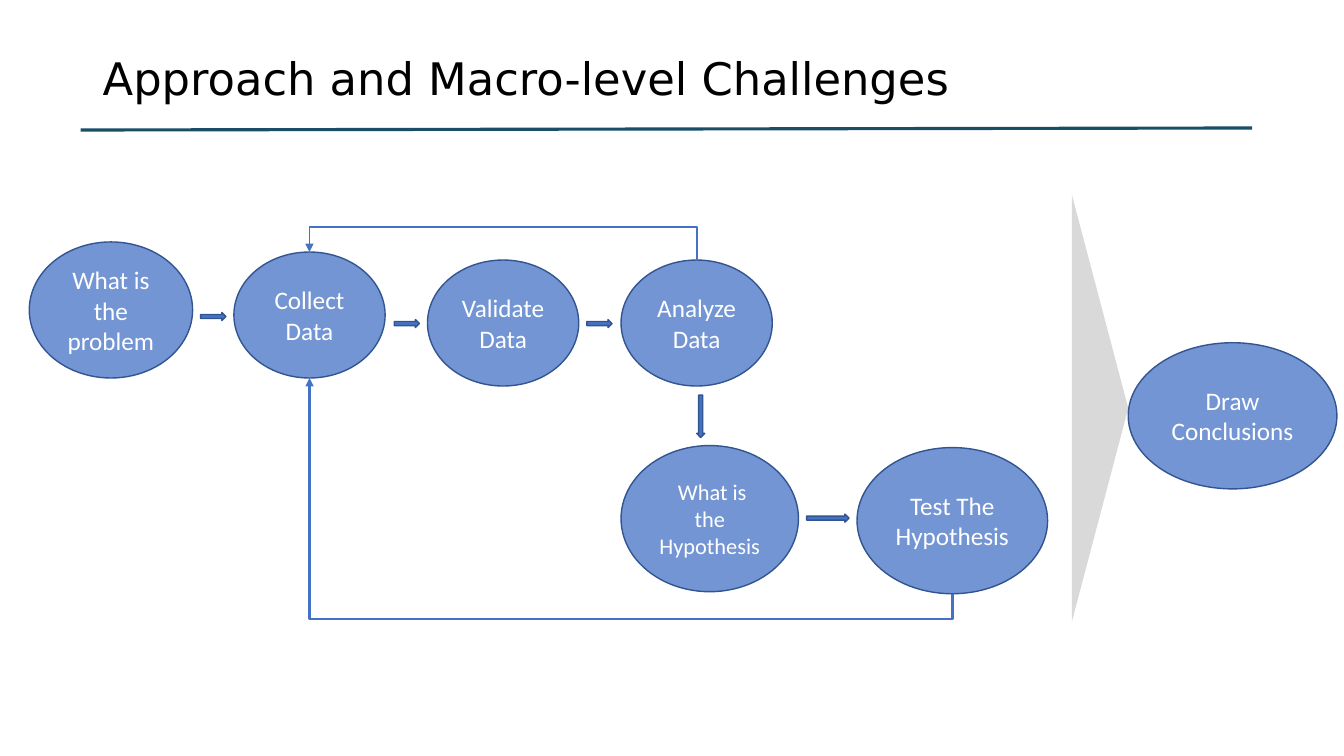
from dataclasses import dataclass

from lxml import etree
from pptx import Presentation
from pptx.dml.color import RGBColor
from pptx.enum.shapes import MSO_CONNECTOR, MSO_SHAPE
from pptx.enum.text import MSO_ANCHOR, PP_ALIGN
from pptx.oxml.ns import qn
from pptx.util import Inches, Pt

STRAIGHT, ELBOW = MSO_CONNECTOR.STRAIGHT, MSO_CONNECTOR.ELBOW
OVAL, TRIANGLE = MSO_SHAPE.OVAL, MSO_SHAPE.ISOSCELES_TRIANGLE
RIGHT, DOWN = MSO_SHAPE.RIGHT_ARROW, MSO_SHAPE.DOWN_ARROW
MIDDLE, CENTER = MSO_ANCHOR.MIDDLE, PP_ALIGN.CENTER

STEP_FILL, ARROW_FILL, OUTLINE = "7395D3", "4472C4", "325491"


@dataclass
class Step:
    label: str
    left: float
    top: float
    width: float = 1.5
    height: float = 1.25
    size: int = 18

    @property
    def middle(self) -> float:
        return self.left + self.width / 2

    @property
    def bottom(self) -> float:
        return self.top + self.height


@dataclass
class Arrow:
    kind: MSO_SHAPE
    left: float
    top: float
    length: float


def rgb(value: str) -> RGBColor:
    return RGBColor.from_string(value)


def add_filled(slide, kind, left, top, width, height, fill, outline=None):
    shape = slide.shapes.add_shape(
        kind, Inches(left), Inches(top), Inches(width), Inches(height))
    shape.shadow.inherit = False
    shape.fill.solid()
    shape.fill.fore_color.rgb = rgb(fill)
    if outline:
        shape.line.color.rgb = rgb(outline)
        shape.line.width = Pt(1)
    else:
        shape.line.fill.background()
    return shape


def set_text(shape, text: str, font: str, size: int, color: str):
    frame = shape.text_frame
    frame.text = text
    frame.word_wrap = True
    frame.vertical_anchor = MIDDLE
    paragraph = frame.paragraphs[0]
    run_font = paragraph.runs[0].font
    run_font.name = font
    run_font.size = Pt(size)
    run_font.color.rgb = rgb(color)
    return paragraph


def add_step(slide, step: Step) -> None:
    oval = add_filled(slide, OVAL, step.left, step.top, step.width,
                      step.height, STEP_FILL, OUTLINE)
    set_text(oval, step.label, "Calibri", step.size, "FFFFFF").alignment = CENTER


def add_arrow(slide, arrow: Arrow) -> None:
    size = (0.08, arrow.length) if arrow.kind == DOWN else (arrow.length, 0.08)
    add_filled(slide, arrow.kind, arrow.left, arrow.top, *size, ARROW_FILL, OUTLINE)


def add_line(slide, kind, x1, y1, x2, y2, color: str, weight: float):
    line = slide.shapes.add_connector(
        kind, Inches(x1), Inches(y1), Inches(x2), Inches(y2))
    line.line.color.rgb = rgb(color)
    line.line.width = Pt(weight)
    etree.SubElement(line.element.spPr, qn("a:effectLst"))
    return line


def add_feedback(slide, x1, y1, x2, y2, detour: float, weight: float) -> None:
    """Elbow that leaves and arrives vertically, passing through y = detour."""
    # A quarter turn makes the elbow's outer segments vertical
    mid_x, mid_y = (x1 + x2) / 2, (y1 + y2) / 2
    half_w, half_h = (y1 - y2) / 2, (x1 - x2) / 2
    loop = add_line(slide, ELBOW, mid_x + half_w, mid_y - half_h,
                    mid_x - half_w, mid_y + half_h, ARROW_FILL, weight)
    properties = loop.element.spPr
    properties.find(qn("a:xfrm")).set("rot", str(90 * 60000))
    guides = properties.find(qn("a:prstGeom")).find(qn("a:avLst"))
    bend = round((detour - y1) / (y2 - y1) * 100000)
    etree.SubElement(guides, qn("a:gd"), name="adj1", fmla=f"val {bend}")
    etree.SubElement(properties.find(qn("a:ln")), qn("a:tailEnd"), type="triangle")


def main() -> None:
    deck = Presentation()
    deck.slide_width, deck.slide_height = Inches(13.33), Inches(7.5)
    slide = deck.slides.add_slide(deck.slide_layouts[6])

    # Title and rule
    add_line(slide, STRAIGHT, 0.8, 1.29, 12.42, 1.27, "1A4D66", 2.25)
    title = slide.shapes.add_textbox(
        Inches(0.92), Inches(0.4), Inches(11.5), Inches(0.8))
    set_text(title, "Approach and Macro-level Challenges",
             "DejaVu Sans", 32, "000000").line_spacing = 0.9

    # Process steps
    problem = Step("What is the problem", 0.29, 2.4, 1.62, 1.35)
    collect = Step("Collect Data", 2.32, 2.5)
    validate = Step("Validate Data", 4.24, 2.58)
    analyze = Step("Analyze Data", 6.16, 2.58)
    hypothesis = Step(" What is the Hypothesis", 6.16, 4.42, 1.76, 1.45, 16)
    test = Step("Test The Hypothesis", 8.5, 4.44, 1.89, 1.45)
    conclusions = Step("Draw Conclusions", 11.19, 3.4, 2.07, 1.45)
    for step in (problem, collect, validate, analyze, hypothesis, test):
        add_step(slide, step)

    # Forward arrows
    for arrow in (
        Arrow(RIGHT, 1.99, 3.1, 0.25),
        Arrow(RIGHT, 3.91, 3.17, 0.25),
        Arrow(RIGHT, 5.82, 3.17, 0.25),
        Arrow(DOWN, 6.91, 3.92, 0.42),
        Arrow(RIGHT, 8.0, 5.1, 0.42),
    ):
        add_arrow(slide, arrow)

    # Feedback loops to data collection
    add_feedback(slide, test.middle, test.bottom,
                 collect.middle, collect.bottom, 6.14, 1.75)
    add_feedback(slide, analyze.middle, analyze.top,
                 collect.middle, collect.top, 2.25, 1.25)

    # Funnel to the conclusions
    funnel = add_filled(slide, TRIANGLE, 8.79, 3.77, 4.24, 0.56, "D9D9D9")
    funnel.rotation = 90
    add_step(slide, conclusions)

    deck.save("out.pptx")


if __name__ == "__main__":
    main()
